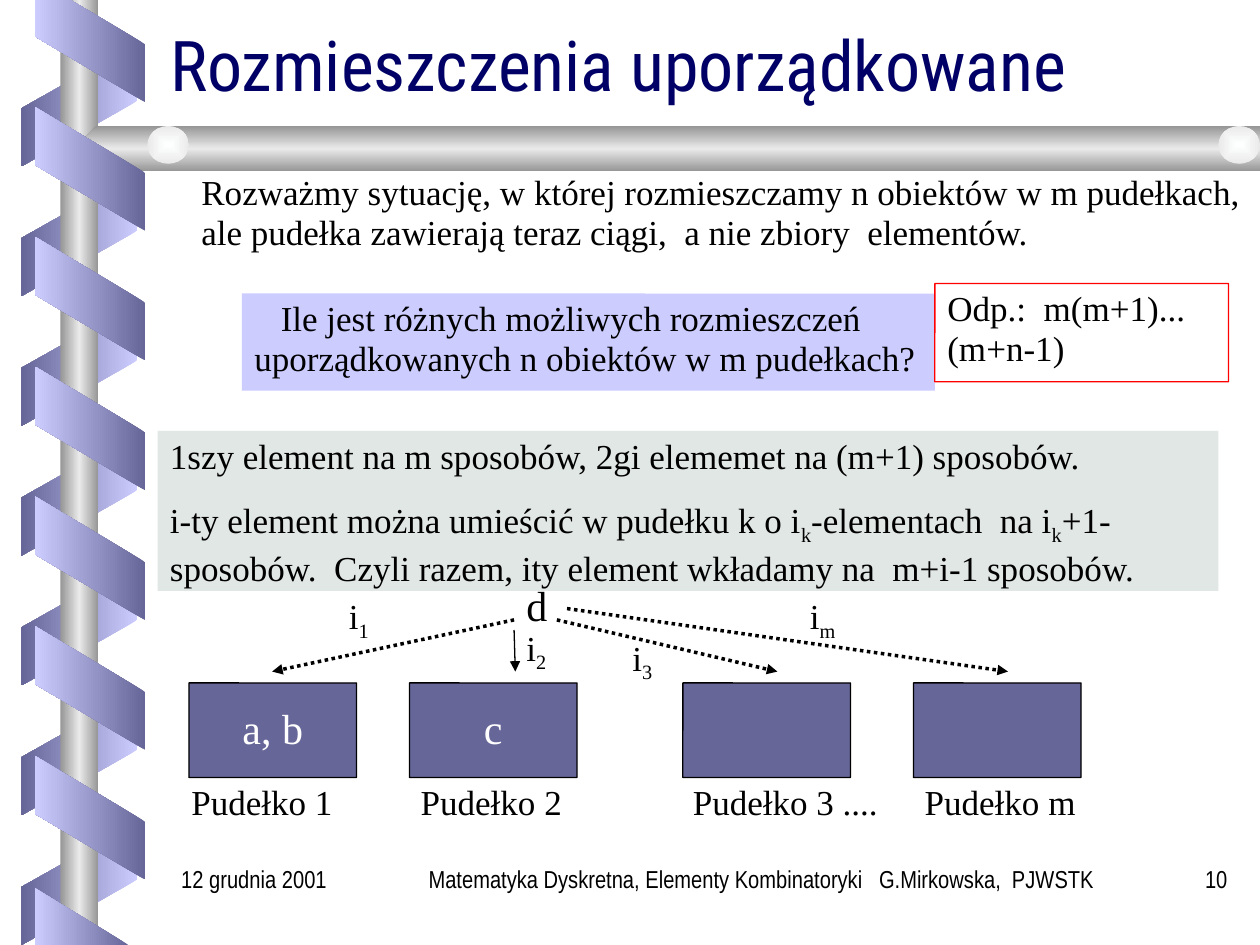
from typing import NamedTuple

from lxml.etree import SubElement
from pptx import Presentation
from pptx.dml.color import RGBColor
from pptx.enum.dml import MSO_LINE
from pptx.enum.shapes import MSO_CONNECTOR, MSO_SHAPE
from pptx.enum.text import MSO_ANCHOR, PP_ALIGN
from pptx.oxml import parse_xml
from pptx.oxml.ns import nsdecls, qn
from pptx.util import Inches, Pt

COLORS = {
    "black": "000000", "white": "FFFFFF", "navy": "000066", "red": "FF0000",
    "lavender": "CCCCFF", "violet": "666699", "sage": "E1E7E4",
    "steel": "969696", "silver": "EAEAEA", "pearl": "FEFFFF",
}
SERIF, NARROW = "Times New Roman", "Arial Narrow"
RIBBON_PITCH = 1.03
BOX_W, BOX_H, BOX_TOP = 1.33, 0.75, 5.42


class Style(NamedTuple):
    size: float = 20
    font: str = SERIF
    color: str = "black"
    align: PP_ALIGN = PP_ALIGN.LEFT
    spacing: float = 0.95


class Label(NamedTuple):
    text: str  # every second part between "~" marks is a subscript
    x: float
    y: float
    w: float
    h: float
    style: Style = Style()


class Panel(NamedTuple):
    x: float
    y: float
    w: float
    h: float
    fill: str | None
    line: str | None


class Box(NamedTuple):
    x: float
    content: str
    caption: str
    caption_x: float


class Arrow(NamedTuple):
    start: tuple[float, float]
    end: tuple[float, float]
    dotted: bool = True


def rgb(name: str) -> RGBColor:
    return RGBColor.from_string(COLORS[name])


def write(p, text: str, style: Style) -> None:
    for i, part in enumerate(text.split("~")):
        if part:
            r = p.add_run()
            r.text = part
            if i % 2:
                r._r.get_or_add_rPr().set("baseline", "-25000")
    p.alignment, p.line_spacing = style.align, style.spacing
    p.font.size, p.font.name = Pt(style.size), style.font
    p.font.color.rgb = rgb(style.color)


def add_label(s, label: Label) -> None:
    sp = s.shapes.add_textbox(*map(Inches, label[1:5]))
    sp.text_frame.word_wrap = True
    write(sp.text_frame.paragraphs[0], label.text, label.style)


def add_panel(s, panel: Panel):
    sp = s.shapes.add_shape(MSO_SHAPE.ROUNDED_RECTANGLE, *map(Inches, panel[:4]))
    sp.adjustments[0] = 0.002
    sp.shadow.inherit = False
    if panel.fill:
        sp.fill.solid()
        sp.fill.fore_color.rgb = rgb(panel.fill)
    else:
        sp.fill.background()
    if panel.line:
        sp.line.color.rgb = rgb(panel.line)
        sp.line.width = Pt(0.75)
    else:
        sp.line.fill.background()
    sp.text_frame.vertical_anchor = MSO_ANCHOR.TOP
    return sp


def set_gradient(sp, names: list[str], angle: int | None) -> None:
    """Spread the colours evenly; no angle means from the centre outwards."""
    stops = "".join(
        f'<a:gs pos="{100000 * i // (len(names) - 1)}"><a:srgbClr val="{COLORS[n]}"/></a:gs>'
        for i, n in enumerate(names))
    if angle is None:
        shade = ('<a:path path="rect"><a:fillToRect l="50000" t="50000" '
                 'r="50000" b="50000"/></a:path>')
    else:
        shade = f'<a:lin ang="{angle * 60000}" scaled="0"/>'
    sp.shadow.inherit = False
    sp.line.fill.background()
    sp.fill.background()
    spPr = sp._element.spPr
    spPr.replace(spPr.find(qn("a:noFill")), parse_xml(
        f'<a:gradFill {nsdecls("a")} rotWithShape="1"><a:gsLst>{stops}</a:gsLst>{shade}</a:gradFill>'))


def add_outline(s, points: list[tuple], names: list[str], angle: int) -> None:
    start, *rest = [(Inches(x), Inches(y)) for x, y in points]
    builder = s.shapes.build_freeform(*start)
    builder.add_line_segments(rest, close=True)
    set_gradient(builder.convert_to_shape(), names, angle)


def add_ribbon(s, x1: float, x2: float, y1: float, y2: float, names: list[str]) -> None:
    band = 0.46
    add_outline(s, [(x1, y1), (x2, y2), (x2, y2 + band), (x1, y1 + band)], names, 180)


def add_arrow(s, arrow: Arrow) -> None:
    c = s.shapes.add_connector(MSO_CONNECTOR.STRAIGHT, *map(Inches, arrow.start + arrow.end))
    c.line.color.rgb = rgb("black")
    c.line.width = Pt(2 if arrow.dotted else 0.75)
    if arrow.dotted:
        c.line.dash_style = MSO_LINE.ROUND_DOT
    SubElement(c.line._get_or_add_ln(), qn("a:tailEnd"), type="triangle")
    SubElement(c._element.spPr, qn("a:effectLst"))


def add_decoration(s) -> None:
    metal = ["steel", "silver", "steel"]
    back, front = ["lavender", "violet"], ["violet", "lavender"]
    for i in range(7):
        y = 0.34 + i * RIBBON_PITCH
        add_ribbon(s, 0.17, 1.09, y + 0.52, y, back)
    # Pole and bar
    add_outline(s, [(0.48, 0), (0.78, 0), (0.78, 7.5), (0.48, 7.5)], metal, 180)
    add_outline(s, [(10, 1), (0.76, 1), (0.6, 1.18), (0.76, 1.36), (10, 1.36)], metal, 90)
    for x in (1.17, 9.67):
        knob = s.shapes.add_shape(MSO_SHAPE.OVAL, *map(Inches, (x, 1, 0.33, 0.3)))
        set_gradient(knob, ["pearl", "silver"], None)
    for i in range(6):
        y = 0.85 + i * RIBBON_PITCH
        add_ribbon(s, 0.28, 1.15, y, y + 0.52, front)
    # Ribbon ends cut by the slide edges
    add_outline(s, [(0.28, 0), (0.28, 0.29), (1.15, 0.81), (1.15, 0.35), (0.56, 0)], front, 180)
    add_outline(s, [(1.02, 7.5), (0.28, 7.05), (0.28, 7.5)], front, 180)


def main() -> None:
    prs = Presentation()
    prs.slide_width, prs.slide_height = Inches(10), Inches(7.5)
    s = prs.slides.add_slide(prs.slide_layouts[5])
    add_decoration(s)

    # Title
    title = s.shapes.title
    title.left, title.top, title.width, title.height = map(Inches, (1.25, 0.1, 8.5, 0.78))
    title.text_frame.vertical_anchor = MSO_ANCHOR.BOTTOM
    write(title.text_frame.paragraphs[0], "Rozmieszczenia uporządkowane",
          Style(40, "Roboto Condensed", "navy", spacing=0.8))

    # Question, reasoning and answer
    question = add_panel(s, Panel(1.92, 2.33, 5.5, 0.77, "lavender", None))
    p = question.text_frame.paragraphs[0]
    p.text = "Ile jest różnych możliwych rozmieszczeń\vuporządkowanych n obiektów w m pudełkach?"
    p._p.get_or_add_pPr().set("indent", str(Inches(0.21)))
    write(p, "", Style())

    tf = add_panel(s, Panel(1.25, 3.42, 8.42, 1.27, "sage", None)).text_frame
    write(tf.paragraphs[0], "1szy element na m sposobów, 2gi elememet na (m+1) sposobów.", Style())
    p = tf.add_paragraph()
    p.space_before = Pt(12.5)
    write(p, "i-ty element można umieścić w pudełku k o i~k~-elementach  na i~k~+1- "
          "sposobów.  Czyli razem, ity element wkładamy na  m+i-1 sposobów.", Style(spacing=1.0))

    answer = add_panel(s, Panel(7.42, 2.25, 2.33, 0.78, None, "red"))
    write(answer.text_frame.paragraphs[0], "Odp.:  m(m+1)...(m+n-1)", Style())

    # Boxes with captions
    for box in (Box(1.5, "a, b", "Pudełko 1", 1.42), Box(3.25, "c", "Pudełko 2", 3.24),
                Box(5.42, "", "Pudełko 3 ....", 5.4), Box(7.25, "", "Pudełko m", 7.24)):
        sp = add_panel(s, Panel(box.x, BOX_TOP, BOX_W, BOX_H, "violet", "black"))
        sp.text_frame.vertical_anchor = MSO_ANCHOR.MIDDLE
        if box.content:
            write(sp.text_frame.paragraphs[0], box.content,
                  Style(24, color="white", align=PP_ALIGN.CENTER))
        add_label(s, Label(box.caption, box.caption_x, BOX_TOP + BOX_H, 1.85, 0.42))

    # Arrows from element d to the boxes
    for arrow in (Arrow((4.08, 4.92), (2.16, 5.33)), Arrow((4.08, 5), (4.09, 5.33), False),
                  Arrow((4.42, 4.92), (6.17, 5.33)), Arrow((4.5, 4.83), (8, 5.33))):
        add_arrow(s, arrow)

    # Introduction, arrow labels and footer
    footer = Style(14, NARROW, spacing=0.93)
    for label in (
        Label("Rozważmy sytuację, w której rozmieszczamy n obiektów w m pudełkach, "
              "ale pudełka zawierają teraz ciągi,  a nie zbiory  elementów.", 1.5, 1.33, 8.5, 0.74),
        Label("d", 4.08, 4.58, 0.5, 0.48, Style(24)),
        Label("i~1~", 2.67, 4.67, 0.58, 0.46),
        Label("i~2~", 4.08, 4.92, 0.58, 0.46),
        Label("i~3~", 4.92, 5, 0.58, 0.46),
        Label("i~m~", 6.33, 4.67, 0.58, 0.46),
        Label("12 grudnia 2001", 1.34, 6.83, 1.74, 0.32, footer),
        Label("Matematyka Dyskretna, Elementy Kombinatoryki   G.Mirkowska,  PJWSTK",
              3.17, 6.83, 5.75, 0.32, footer._replace(align=PP_ALIGN.CENTER)),
        Label("10", 9, 6.83, 0.84, 0.32, footer._replace(align=PP_ALIGN.RIGHT)),
    ):
        add_label(s, label)

    prs.save("out.pptx")


if __name__ == "__main__":
    main()
